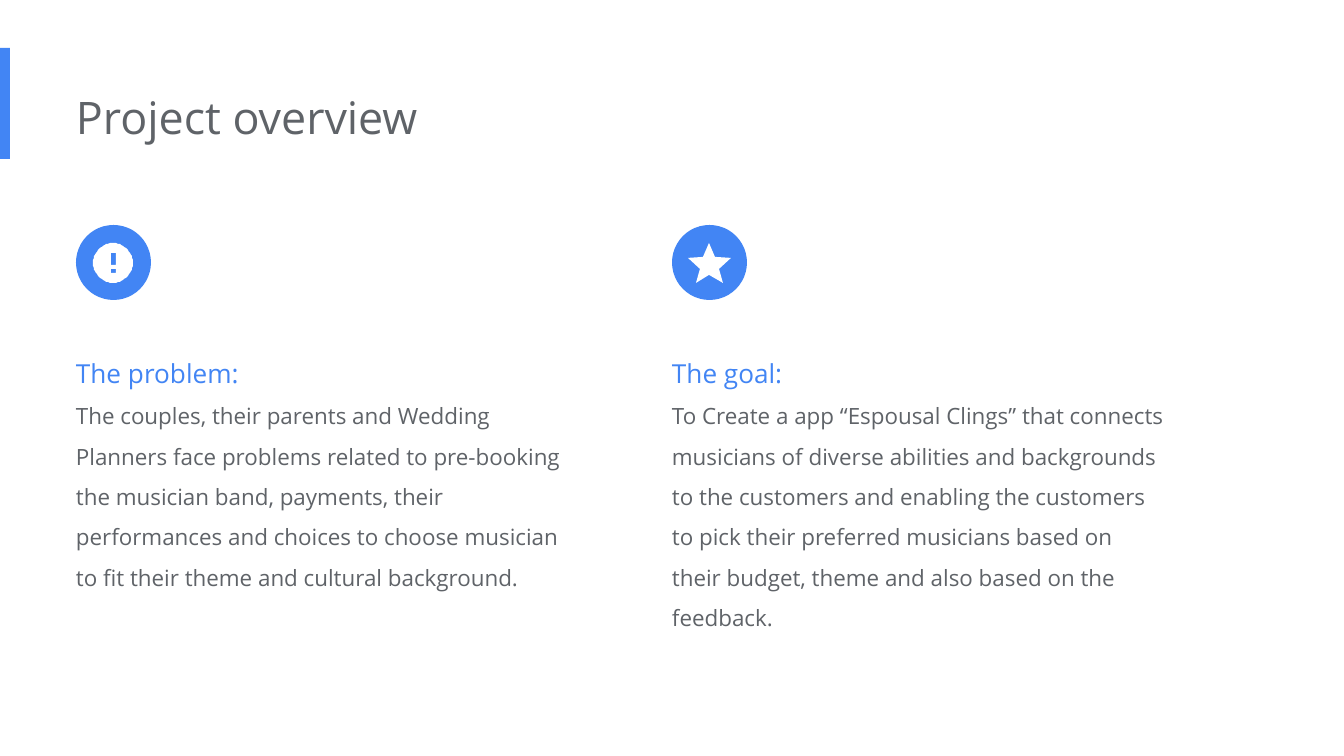
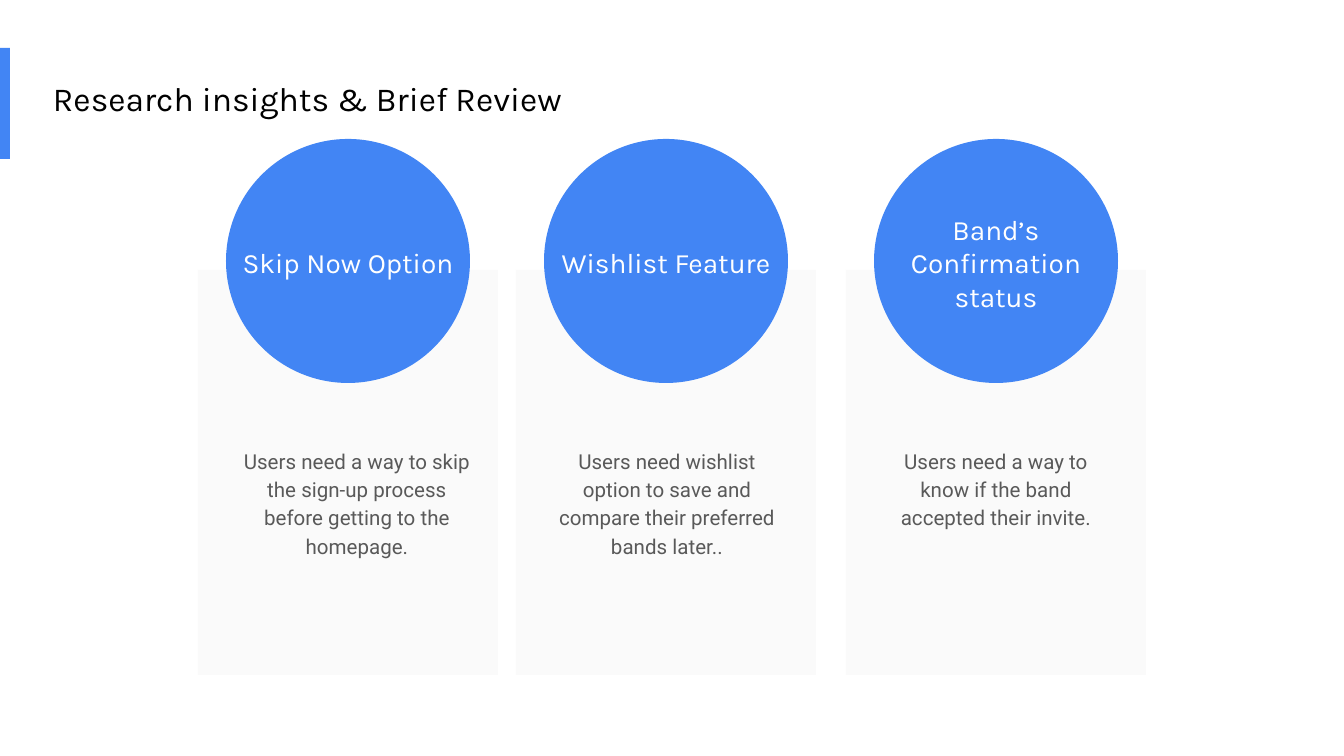
"""Build the project overview and research insights slides."""
from math import cos, pi, sin

from pptx import Presentation
from pptx.dml.color import RGBColor
from pptx.enum.shapes import MSO_SHAPE
from pptx.enum.text import MSO_ANCHOR, PP_ALIGN
from pptx.util import Emu, Pt

PX = 914400 / 134.4
COLORS = {"blue": "4285F4", "gray": "5F6368", "body": "595959",
          "card": "FAFAFA", "white": "FFFFFF", "black": "000000"}
INSET = 13

DISC = [(37 + 20 * cos(i * pi / 36), 38 + 20 * sin(i * pi / 36)) for i in range(72)]
BAR = [(35, 28), (35, 40), (40, 40), (40, 28)]
DOT = [(35, 44), (35, 48), (40, 48), (40, 44)]
STAR = [(37, 50), (51, 58), (47, 44), (59, 33), (43, 32),
        (37, 18), (31, 32), (16, 33), (28, 44), (24, 58)]

OVERVIEW_TITLE = "Project overview"
OVERVIEW = [
    (76, 265, [DISC, BAR, DOT], "The problem:",
     "The couples, their parents and Wedding Planners face problems related to "
     "pre-booking the musician band, payments, their performances and choices to "
     "choose musician to fit their theme and cultural background."),
    (672, 305, [STAR], "The goal:",
     "To Create a app “Espousal Clings” that connects musicians of diverse abilities "
     "and backgrounds to the customers and enabling the customers to pick their "
     "preferred musicians based on their budget, theme and also based on the feedback."),
]

INSIGHTS_TITLE = "Research insights & Brief Review"
INSIGHTS = [
    (348, 232, "Skip Now Option", 357,
     "Users need a way to skip the sign-up process before getting to the homepage."),
    (666, 232, "Wishlist Feature", 667,
     "Users need wishlist option to save and compare their preferred bands later.."),
    (996, 199, "Band’s Confirmation status", 996,
     "Users need a way to know if the band accepted their invite."),
]


def emu(*lengths):
    return [Emu(round(n * PX)) for n in lengths]


def paint(sp, color):
    sp.shadow.inherit = False
    sp.fill.solid()
    sp.fill.fore_color.rgb = RGBColor.from_string(COLORS[color])
    sp.line.fill.background()


def add_block(s, kind, box, color):
    sp = s.shapes.add_shape(kind, *emu(*box))
    paint(sp, color)


def add_icon(s, x, y, contours):
    first, *others = [[(x + dx, y + dy) for dx, dy in c] for c in contours]
    builder = s.shapes.build_freeform(*first[0], scale=PX)
    builder.add_line_segments(first[1:], close=True)
    for contour in others:
        builder.move_to(*contour[0])
        builder.add_line_segments(contour[1:], close=True)
    paint(builder.convert_to_shape(), "white")


def add_text(s, box, lines, left_inset=INSET, align=PP_ALIGN.LEFT, spacing=1.0):
    tf = s.shapes.add_textbox(*emu(*box)).text_frame
    tf.word_wrap = True
    tf.vertical_anchor = MSO_ANCHOR.TOP
    tf.margin_left, tf.margin_top, tf.margin_right, tf.margin_bottom = emu(
        left_inset, INSET, INSET, INSET)
    for i, (text, size, font, color) in enumerate(lines):
        p = tf.add_paragraph() if i else tf.paragraphs[0]
        p.text = text
        p.alignment = align
        p.line_spacing = spacing
        for r in p.runs:
            r.font.size = Pt(size)
            r.font.name = font
            r.font.color.rgb = RGBColor.from_string(COLORS[color])


def add_slide(prs):
    s = prs.slides.add_slide(prs.slide_layouts[6])
    add_block(s, MSO_SHAPE.RECTANGLE, (0, 48, 10, 111), "blue")
    return s


def build_overview(prs):
    s = add_slide(prs)
    add_text(s, (76, 77, 905, 82), [(OVERVIEW_TITLE, 24, "Open Sans", "gray")], 0)
    top, size = 225, 75
    for x, height, contours, heading, body in OVERVIEW:
        add_block(s, MSO_SHAPE.OVAL, (x, top, size, size), "blue")
        add_icon(s, x, top, contours)
        add_text(s, (x, 329, 507, height),
                 [(heading, 14, "Open Sans", "blue"), (body, 12, "Open Sans", "gray")],
                 0, spacing=1.5)


def build_insights(prs):
    s = add_slide(prs)
    card_w, circle, text_w = 300, 244, 262
    for cx, label_y, label, body_cx, body in INSIGHTS:
        add_block(s, MSO_SHAPE.RECTANGLE, (cx - card_w / 2, 270, card_w, 405), "card")
        add_block(s, MSO_SHAPE.OVAL, (cx - circle / 2, 139, circle, circle), "blue")
        add_text(s, (cx - text_w / 2, label_y, text_w, 79),
                 [(label, 15, "Karla", "white")], align=PP_ALIGN.CENTER)
        add_text(s, (body_cx - text_w / 2, 432, text_w, 140),
                 [(body, 11, "Roboto", "body")], align=PP_ALIGN.CENTER, spacing=1.15)
    add_text(s, (40, 59, 677, 71), [(INSIGHTS_TITLE, 18, "Karla", "black")], spacing=1.15)


def main():
    prs = Presentation()
    prs.slide_width, prs.slide_height = emu(1344, 756)
    build_overview(prs)
    build_insights(prs)
    prs.save("out.pptx")


if __name__ == "__main__":
    main()
